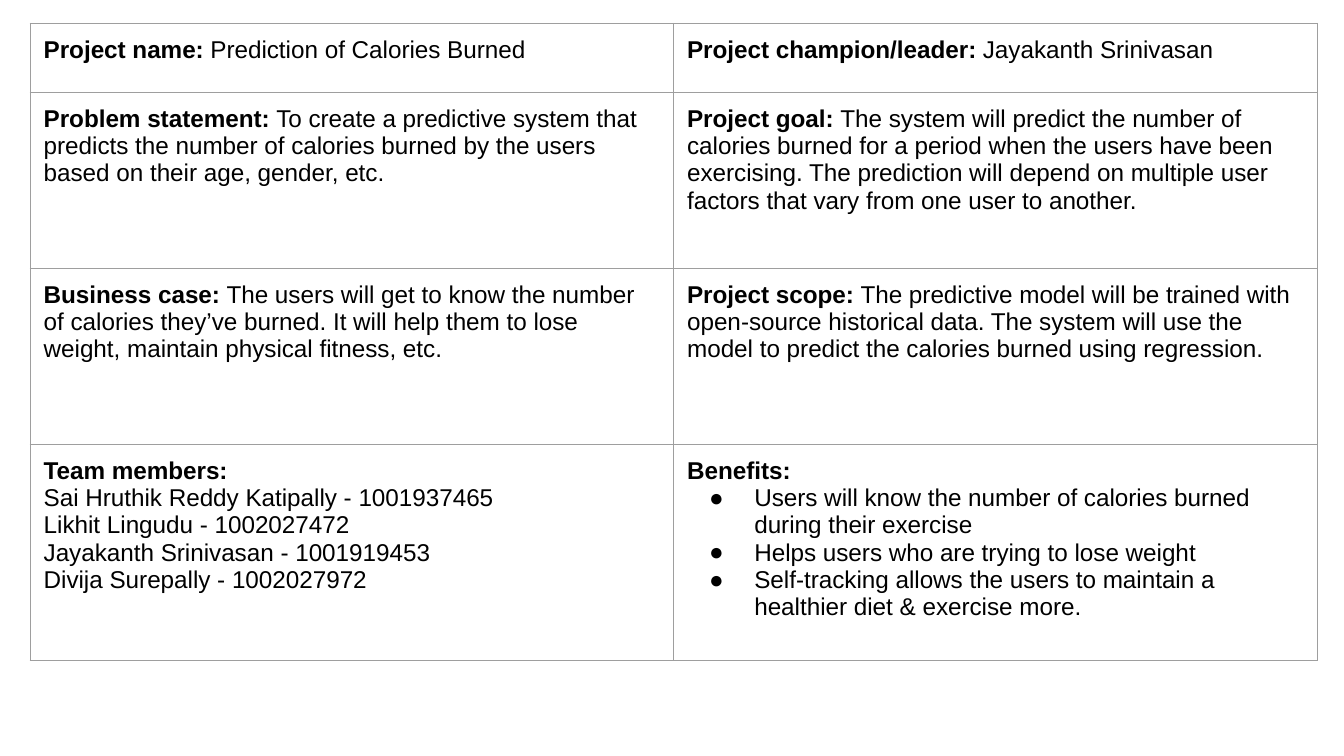
from lxml import etree
from pptx import Presentation
from pptx.dml.color import RGBColor
from pptx.oxml.ns import qn
from pptx.util import Pt

BORDER = "9E9E9E"
INK = "000000"
COLUMN_WIDTH = 344.7
ROW_HEIGHTS = [36.9, 94.3, 94.3, 115.7]
INSET = Pt(7.2)

# Each cell holds a bold label, the text beside it, and the lines below it.
CHARTER = [
    [("Project name: ", "Prediction of Calories Burned ", []),
     ("Project champion/leader: ", "Jayakanth Srinivasan", [])],
    [("Problem statement: ",
      "To create a predictive system that predicts the number of calories "
      "burned by the users based on their age, gender, etc.", []),
     ("Project goal: ",
      "The system will predict the number of calories burned for a period "
      "when the users have been exercising. The prediction will depend on "
      "multiple user factors that vary from one user to another.", [])],
    [("Business case: ",
      "The users will get to know the number of calories they’ve burned. "
      "It will help them to lose weight, maintain physical fitness, etc.", []),
     ("Project scope: ",
      "The predictive model will be trained with open-source historical data. "
      "The system will use the model to predict the calories burned using "
      "regression. ", [])],
    [("Team members: ", "",
      ["Sai Hruthik Reddy Katipally - 1001937465",
       "Likhit Lingudu - 1002027472",
       "Jayakanth Srinivasan - 1001919453",
       "Divija Surepally - 1002027972"]),
     ("Benefits:", "",
      ["Users will know the number of calories burned during their exercise",
       "Helps users who are trying to lose weight",
       "Self-tracking allows the users to maintain a healthier diet & "
       "exercise more."])],
]


def add_span(para, text, bold=False):
    """Append a run in the slide's text style."""
    span = para.add_run()
    span.text = text
    span.font.name = "Arial"
    span.font.size = Pt(13)
    span.font.bold = bold
    span.font.color.rgb = RGBColor.from_string(INK)


def add_borders(cell):
    """Draw a thin line on all four sides of a cell."""
    properties = cell._tc.get_or_add_tcPr()
    for index, side in enumerate(("a:lnL", "a:lnR", "a:lnT", "a:lnB")):
        line = etree.Element(qn(side), w=str(Pt(0.75)))
        fill = etree.SubElement(line, qn("a:solidFill"))
        etree.SubElement(fill, qn("a:srgbClr"), val=BORDER)
        properties.insert(index, line)


deck = Presentation()
deck.slide_width, deck.slide_height = Pt(720), Pt(405)
page = deck.slides.add_slide(deck.slide_layouts[6])

table = page.shapes.add_table(
    len(CHARTER), 2, Pt(16.2), Pt(12.6),
    Pt(2 * COLUMN_WIDTH), Pt(sum(ROW_HEIGHTS))).table
table.first_row = False
table.horz_banding = False
for column in table.columns:
    column.width = Pt(COLUMN_WIDTH)
for row, height in zip(table.rows, ROW_HEIGHTS):
    row.height = Pt(height)

for row, entries in zip(table.rows, CHARTER):
    for cell, (label, text, lines) in zip(row.cells, entries):
        cell.margin_left = cell.margin_right = INSET
        cell.margin_top = cell.margin_bottom = INSET
        cell.fill.background()
        add_borders(cell)
        heading = cell.text_frame.paragraphs[0]
        add_span(heading, label, bold=True)
        if text:
            add_span(heading, text)
        for line in lines:
            para = cell.text_frame.add_paragraph()
            add_span(para, line)
            if label == "Benefits:":
                layout = para._p.get_or_add_pPr()
                layout.set("marL", str(Pt(36)))
                layout.set("indent", str(Pt(-24.25)))
                color = etree.SubElement(layout, qn("a:buClr"))
                etree.SubElement(color, qn("a:srgbClr"), val=INK)
                etree.SubElement(layout, qn("a:buFont"), typeface="Arial")
                etree.SubElement(layout, qn("a:buChar"), char="●")

deck.save("out.pptx")
